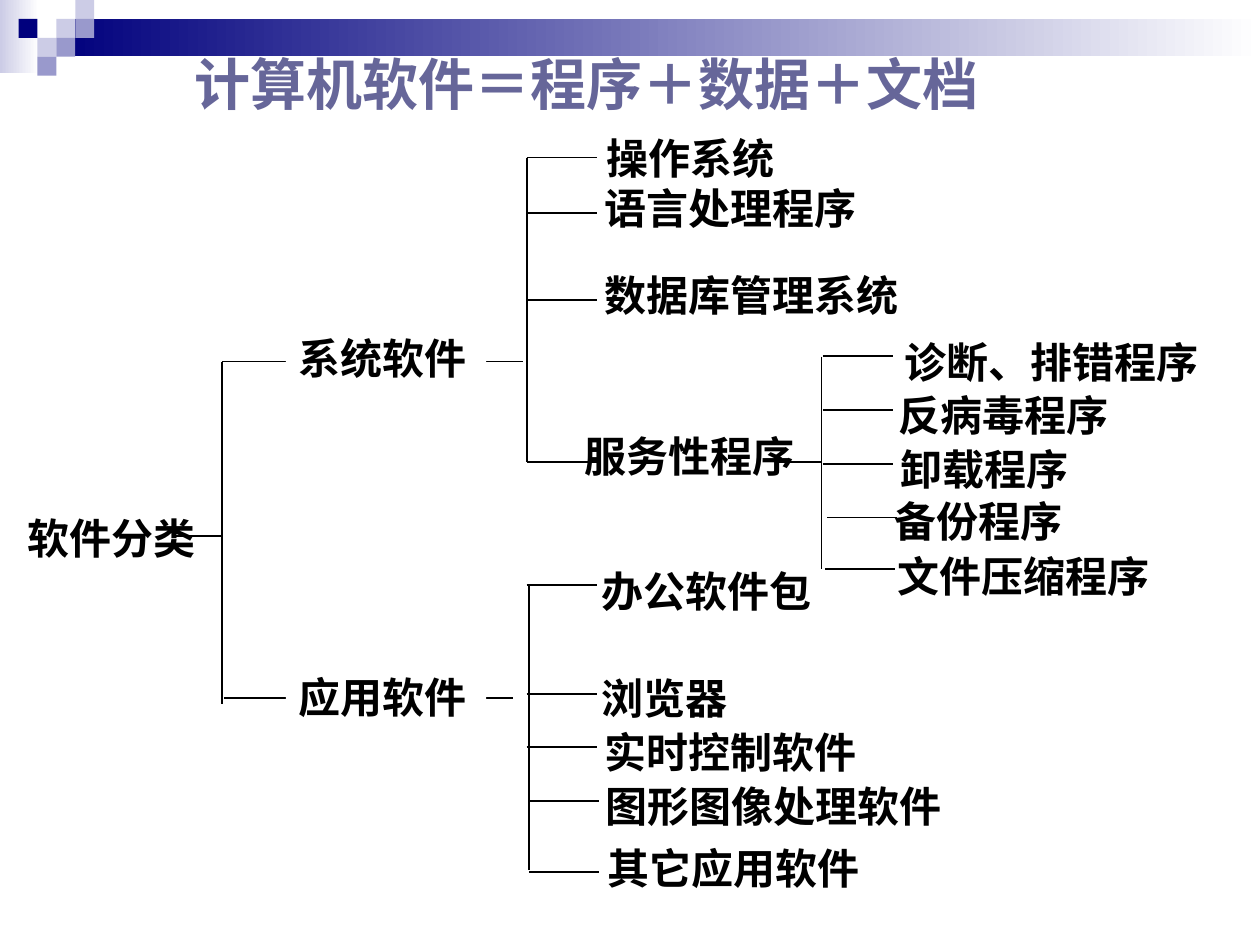
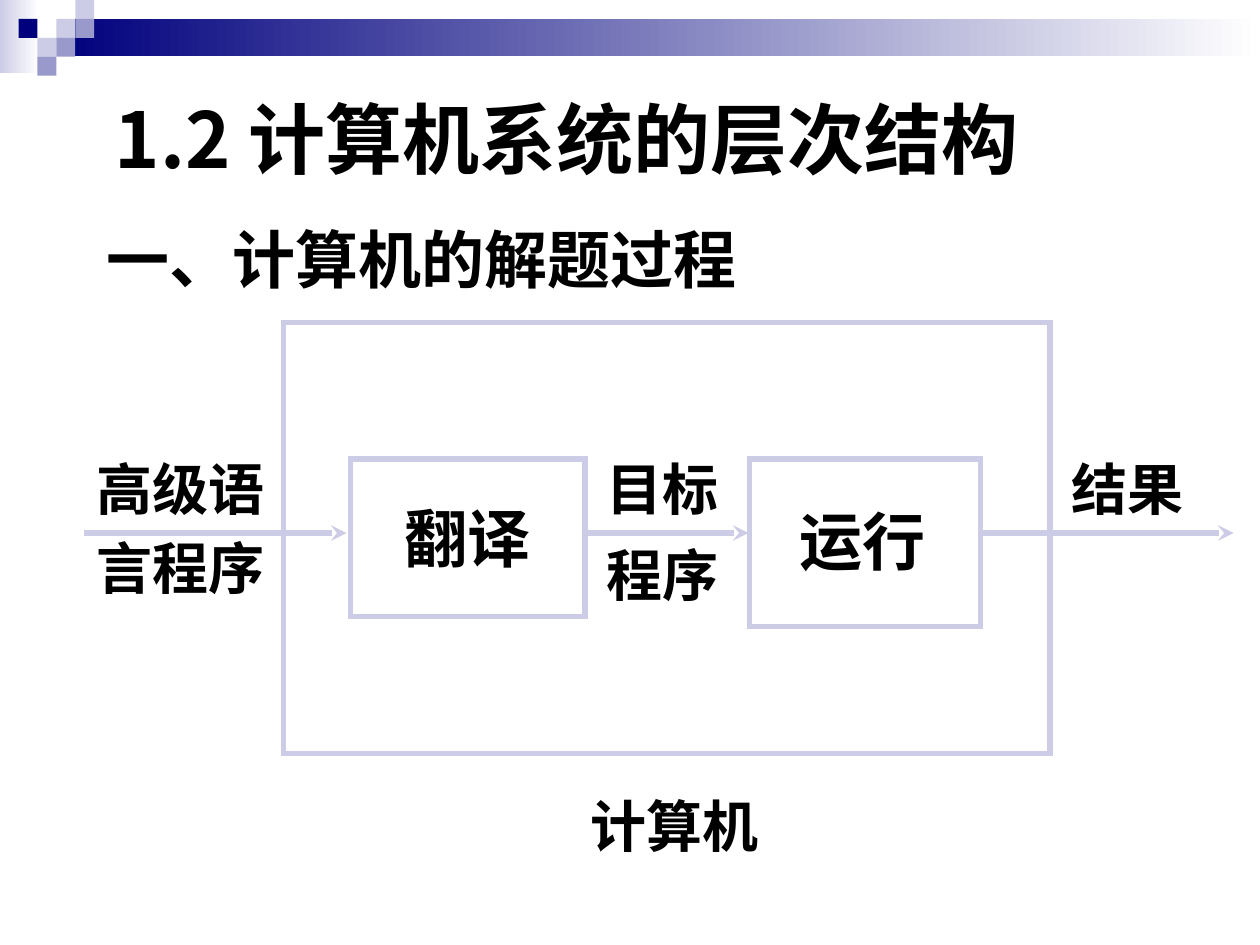
"""Build two slides on software classes and how a computer solves a problem."""
from dataclasses import dataclass
from typing import Any

import lxml.etree
import pptx
import pptx.dml.color
import pptx.enum.shapes
import pptx.enum.text
import pptx.oxml.ns
import pptx.util

Pt = pptx.util.Pt
NAVY, LILAC, MID, SLATE = "00007D", "CCCCE6", "9999CC", "666699"
BLACK, WHITE = "000000", "FFFFFF"
SANS, SERIF = "Noto Sans CJK SC", "Times New Roman"
TILE = 10.8
TICK = 40
ROW = 36
SLACK = 4
FLOW = 304.6


@dataclass
class Leaf:
    """A label and the start of the short line that leads to it."""
    text: str
    left: float
    top: float
    x: float
    y: float
    face: str = SERIF


@dataclass
class Branch:
    """An upright line with its leaves."""
    x: float
    top: float
    end: float
    leaves: list[Leaf]


@dataclass
class Stage:
    """A framed step of the process."""
    text: str
    frame: tuple[float, float, float, float]
    left: float
    top: float


@dataclass
class Note:
    """A label beside an arrow or a frame."""
    text: str
    left: float
    top: float
    face: str = SANS


TILES = [(2, 1, LILAC), (3, 0, LILAC), (3, 1, MID), (1, 2, LILAC),
         (0, 1, NAVY), (2, 2, MID), (1, 3, MID)]

TREE = [
    Branch(301, 90, 264.2, [
        Leaf("操作系统", 339.8, 72, 301, 90),
        Leaf("语言处理程序", 338.4, 100.5, 301, 121.7),
        Leaf("数据库管理系统", 338.4, 150.5, 301, 171.4, SANS),
        Leaf("服务性程序", 326.9, 242.2, 301, 264.2)]),
    Branch(469.4, 203.8, 325.4, [
        Leaf("诊断、排错程序", 509.8, 188.6, 470.2, 203.6, SANS),
        Leaf("反病毒程序", 506.2, 218.9, 470.2, 234.5, SANS),
        Leaf("卸载程序", 507.6, 249.8, 470.2, 265, SANS),
        Leaf("备份程序", 504, 279.4, 472.8, 295.7, SANS),
        Leaf("文件压缩程序", 505.8, 310.7, 471.6, 325, SANS)]),
    Branch(302.2, 334.2, 497, [
        Leaf("办公软件包", 336.6, 319.5, 301, 334.4),
        Leaf("浏览器", 336.6, 380.9, 301, 396.5, SANS),
        Leaf("实时控制软件", 338.4, 411.8, 301, 427),
        Leaf("图形图像处理软件", 339.1, 442.4, 302.2, 457.7, SANS),
        Leaf("其它应用软件", 340.2, 478.1, 302.2, 498.2)]),
]
STEMS = [(98.6, 306.2, 126.9, 306.2), (126.9, 207, 126.9, 402.5),
         (126.9, 206.6, 298.8, 206.6), (128.2, 398.9, 293, 398.9),
         (444.2, 264.2, 469.4, 264.2)]
KINDS = [("系统软件", 186.5), ("应用软件", 380.2)]

STAGES = [Stage("翻译", (200.2, 262.3, 134.2, 90), 223.9, 281.6),
          Stage("运行", (428.4, 262.3, 131.8, 95.8), 450, 283.5)]
NOTES = [Note("高级语", 55.4, 260.3 - 0.6), Note("言程序", 55.4, 305, SERIF),
         Note("目标", 346.3, 259.7), Note("程序", 346.3, 308.9),
         Note("结果", 612, 259.7), Note("计算机", 337.2, 452)]
ARROWS = [(48.2, 198), (336.2, 427.7), (560.2, 704.9)]


def tint(code: str) -> pptx.dml.color.RGBColor:
    """Turn a hex string into a colour."""
    return pptx.dml.color.RGBColor.from_string(code)


def write(slide: Any, text: str, left: float, top: float, *, size: float = 24,
          face: str = SERIF, hue: str = BLACK, high: float = ROW,
          pad: float = 7.2, fill: str = "") -> None:
    """Put one bold line of text in a box sized to its full-width letters."""
    wide = len(text) * size + 2 * pad + SLACK
    box = slide.shapes.add_textbox(Pt(left), Pt(top), Pt(wide), Pt(high))
    if fill:
        box.fill.solid()
        box.fill.fore_color.rgb = tint(fill)
    frame = box.text_frame
    frame.word_wrap = True
    frame.vertical_anchor = pptx.enum.text.MSO_ANCHOR.MIDDLE
    frame.margin_left = frame.margin_right = Pt(pad)
    frame.margin_top = frame.margin_bottom = 0
    line = frame.paragraphs[0]
    line.alignment = pptx.enum.text.PP_ALIGN.LEFT
    run = line.add_run()
    run.text = text
    font = run.font
    font.size, font.bold, font.name = Pt(size), True, face
    font.color.rgb = tint(hue)
    east = lxml.etree.SubElement(font._element, pptx.oxml.ns.qn("a:ea"))
    east.set("typeface", SANS)


def block(slide: Any, left: float, top: float, wide: float, high: float,
          fill: str = "", fade: str = "", edge: str = "") -> None:
    """Draw a rectangle with a plain, fading or empty fill."""
    shape = slide.shapes.add_shape(
        pptx.enum.shapes.MSO_SHAPE.RECTANGLE, Pt(left), Pt(top), Pt(wide), Pt(high))
    shape.shadow.inherit = False
    if fade:
        shape.fill.gradient()
        shape.fill.gradient_angle = 0
        for stop, code in zip(shape.fill.gradient_stops, (fill, fade)):
            stop.color.rgb = tint(code)
    elif fill:
        shape.fill.solid()
        shape.fill.fore_color.rgb = tint(fill)
    else:
        shape.fill.background()
    if edge:
        shape.line.color.rgb = tint(edge)
        shape.line.width = Pt(3)
        join = lxml.etree.SubElement(
            shape.line._get_or_add_ln(), pptx.oxml.ns.qn("a:miter"))
        join.set("lim", "800000")
    else:
        shape.line.fill.background()


def rule(slide: Any, x: float, y: float, to_x: float, to_y: float,
         hue: str = BLACK, thick: float = 1, head: bool = False) -> None:
    """Draw a straight line, with an arrowhead if asked."""
    line = slide.shapes.add_connector(
        pptx.enum.shapes.MSO_CONNECTOR.STRAIGHT, Pt(x), Pt(y), Pt(to_x), Pt(to_y))
    line.line.color.rgb = tint(hue)
    line.line.width = Pt(thick)
    qn = pptx.oxml.ns.qn
    if head:
        tip = lxml.etree.SubElement(line.line._get_or_add_ln(), qn("a:tailEnd"))
        tip.set("type", "stealth")
    lxml.etree.SubElement(line._element.spPr, qn("a:effectLst"))


def start(deck: Any) -> Any:
    """Add a blank slide with the top band and its tiles."""
    slide = deck.slides.add_slide(deck.slide_layouts[6])
    block(slide, 0, 0, 22.3, 41.8, LILAC, WHITE)
    block(slide, 32.4, TILE, 687.6, 21.3, NAVY, WHITE)
    for col, row, hue in TILES:
        block(slide, 10.6 + col * TILE, row * TILE, TILE, TILE, hue)
    return slide


def draw_tree(deck: Any) -> None:
    """Draw the tree of software classes."""
    slide = start(deck)
    write(slide, "计算机软件＝程序＋数据＋文档", 105.1, 23.6, size=32,
          face="Arial", hue=SLATE, high=47.5, pad=5.8)
    for stem in STEMS:
        rule(slide, *stem)
    write(slide, "软件分类", 8.6, 289.4)
    for text, top in KINDS:
        write(slide, text, 163.4, top, fill=WHITE)
    for branch in TREE:
        rule(slide, branch.x, branch.top, branch.x, branch.end)
        for leaf in branch.leaves:
            rule(slide, leaf.x, leaf.y, leaf.x + TICK, leaf.y)
            write(slide, leaf.text, leaf.left, leaf.top, face=leaf.face)


def draw_flow(deck: Any) -> None:
    """Draw the way from source program to result."""
    slide = start(deck)
    block(slide, 162, 184.3, 438, 246.2, edge=LILAC)
    for note in NOTES:
        write(slide, note.text, note.left, note.top, size=32, face=note.face,
              high=38.4, pad=0)
    for x, to_x in ARROWS:
        rule(slide, x, FLOW, to_x, FLOW, LILAC, 3, True)
    for stage in STAGES:
        block(slide, *stage.frame, edge=LILAC)
        write(slide, stage.text, stage.left, stage.top, size=36, face=SANS, high=50.4)
    write(slide, "一、计算机的解题过程", 54, 122.4, size=36, high=50.4)
    write(slide, "1.2 计算机系统的层次结构", 58.5, 48.4, size=44, face=SANS, high=60.5)


def main() -> None:
    """Build and save the deck."""
    deck = pptx.Presentation()
    deck.slide_width, deck.slide_height = Pt(720), Pt(540)
    draw_tree(deck)
    draw_flow(deck)
    deck.save("out.pptx")


if __name__ == "__main__":
    main()
